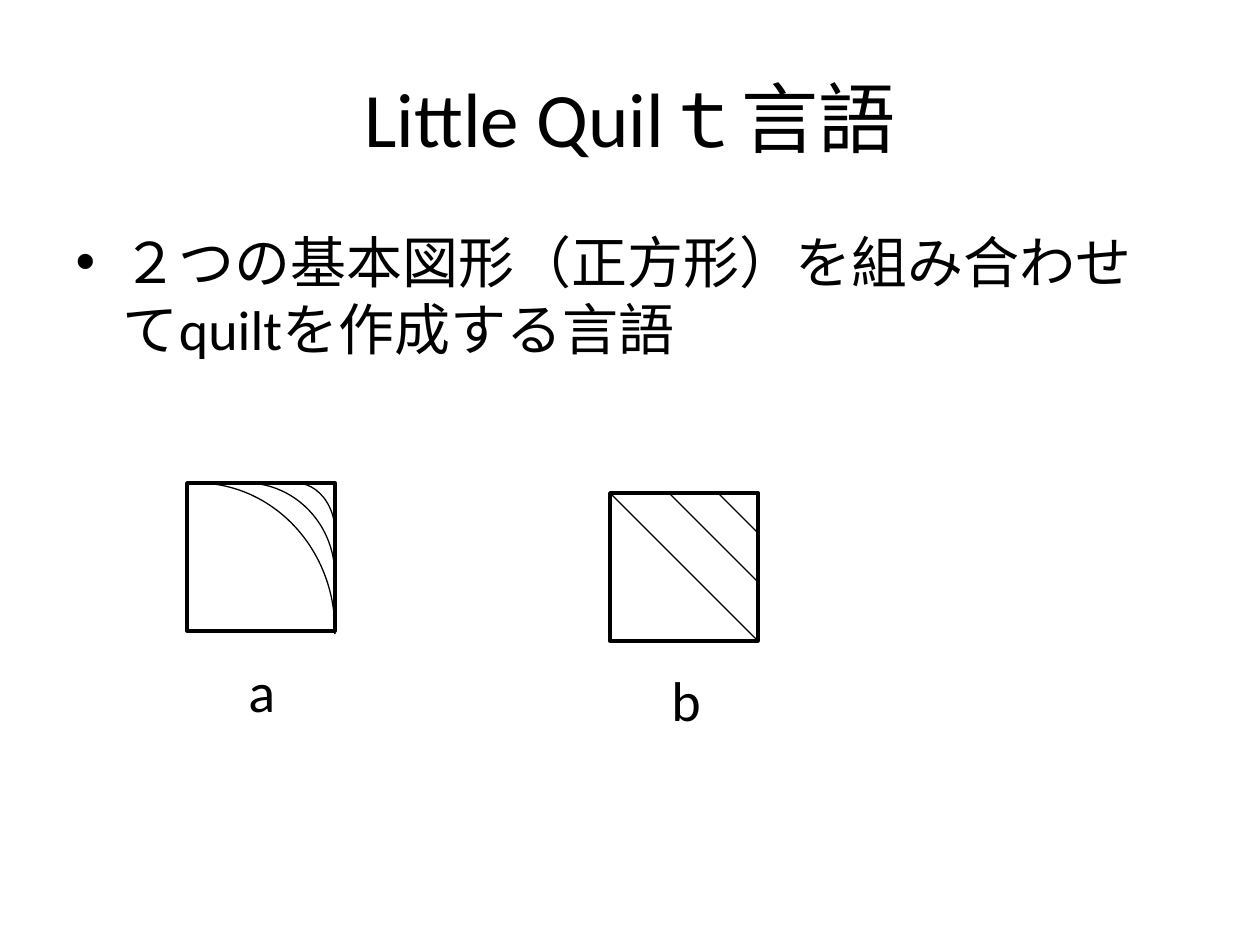
import pptx
import pptx.dml.color
import pptx.enum.shapes
import pptx.enum.text
import pptx.oxml.ns
import pptx.util
from lxml import etree

PX = 914400 // 126
BLACK = "000000"
SHAPE = pptx.enum.shapes.MSO_SHAPE


def style(obj, color, width=None):
    """Colour a font, or a shape's outline when a width is given."""
    rgb = pptx.dml.color.RGBColor.from_string(color)
    if width is None:
        obj.color.rgb = rgb
        obj.name = "Calibri"
    else:
        obj.line.color.rgb = rgb
        obj.line.width = pptx.util.Pt(width)


def px(*lengths):
    return [n * PX for n in lengths]


prs = pptx.Presentation()
prs.slide_width, prs.slide_height = pptx.util.Inches(10), pptx.util.Inches(7.5)
s = prs.slides.add_slide(prs.slide_layouts[1])
s.background.fill.solid()
s.background.fill.fore_color.rgb = pptx.dml.color.RGBColor.from_string("FFFFFF")

# Title and bullet
for sp, box, size, text in (
    (s.shapes.title, (63, 38, 1134, 158), 44, "Little Quilｔ言語"),
    (s.placeholders[1], (63, 221, 1134, 624), 32,
     "２つの基本図形（正方形）を組み合わせてquiltを作成する言語"),
):
    sp.left, sp.top, sp.width, sp.height = px(*box)
    r = sp.text_frame.paragraphs[0].add_run()
    r.text = text
    r.font.size = pptx.util.Pt(size)
    style(r.font, BLACK)

# Outer squares: a stands alone, b is grouped with its diagonals
side = 148
a_left, a_top = 187, 483
b_left, b_top = 610, 493
group = s.shapes.add_group_shape()
for shapes, left, top in ((s.shapes, a_left, a_top), (group.shapes, b_left, b_top)):
    sp = shapes.add_shape(SHAPE.RECTANGLE, *px(left, top, side, side))
    sp.shadow.inherit = False
    sp.fill.background()
    style(sp, BLACK, 2)

# Pattern a: arcs from 273 to 1.5 degrees, meeting the right side
for width, height in ((276, 295), (178, 186), (79, 98)):
    sp = s.shapes.add_shape(SHAPE.ARC, *px(a_left + side - width, a_top, width, height))
    sp.adjustments[0] = 273 * 0.6
    sp.adjustments[1] = 1.5 * 0.6
    sp.shadow.inherit = False
    sp.fill.background()
    style(sp, BLACK, 0.75)

# Pattern b: parallel diagonals ending on the right side
for run in (side, 89, 40):
    right = b_left + side
    line = group.shapes.add_connector(
        pptx.enum.shapes.MSO_CONNECTOR.STRAIGHT,
        *px(right - run, b_top, right, b_top + run))
    style(line, BLACK, 0.75)
    etree.SubElement(line._element.spPr, pptx.oxml.ns.qn("a:effectLst"))

# Labels
for text, left, top, width in (("a", 236, 650, 53), ("b", 659, 659, 55)):
    tf = s.shapes.add_textbox(*px(left, top, width, 81)).text_frame
    tf.word_wrap = False
    tf.auto_size = pptx.enum.text.MSO_AUTO_SIZE.SHAPE_TO_FIT_TEXT
    r = tf.paragraphs[0].add_run()
    r.text = text
    r.font.size = pptx.util.Pt(32)
    style(r.font, BLACK)

prs.save("out.pptx")
